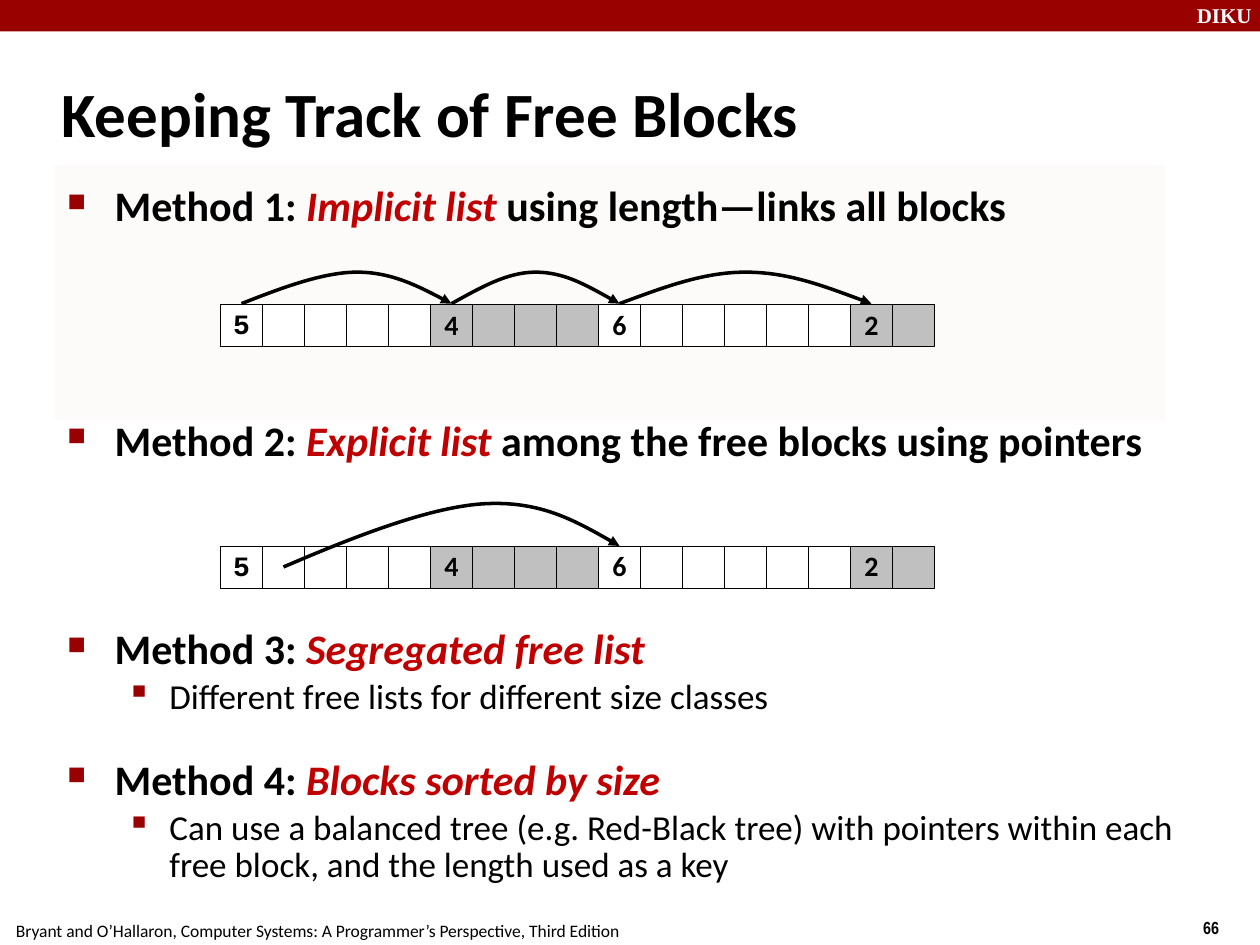
from lxml import etree
from pptx import Presentation
from pptx.dml.color import RGBColor
from pptx.enum.shapes import MSO_SHAPE
from pptx.enum.text import MSO_ANCHOR, MSO_AUTO_SIZE, PP_ALIGN
from pptx.oxml.ns import qn
from pptx.util import Pt

RECT = MSO_SHAPE.RECTANGLE
MIDDLE, TOP = MSO_ANCHOR.MIDDLE, MSO_ANCHOR.TOP
LEFT, CENTER = PP_ALIGN.LEFT, PP_ALIGN.CENTER
NO_FIT = MSO_AUTO_SIZE.NONE

C = {"bar": "990000", "accent": "C00000", "panel": "FCFBF9", "used": "C0C0C0",
     "white": "FFFFFF", "black": "000000"}

# Content
TITLE = "Keeping Track of Free Blocks"
FOOTER = "Bryant and O’Hallaron, Computer Systems: A Programmer’s Perspective, Third Edition"
# (level, space before, line spacing, [(text, is a term)])
BODY = [
    (0, 0, 1, [("Method 1: ", False), ("Implicit list ", True),
               ("using length—links all blocks", False)]),
    (0, 105.2, 1, [("Method 2: ", False), ("Explicit list ", True),
                   ("among the free blocks using pointers", False)]),
    (0, 95.2, 0.83, [("Method 3: ", False), ("Segregated free list", True)]),
    (1, 4, 0.88, [("Different free lists for different size classes", False)]),
    (0, 25.7, 0.83, [("Method 4: ", False), ("Blocks sorted by size", True)]),
    (1, 4, 0.88, [("Can use a balanced tree (e.g. Red-Black tree) with pointers within "
                   "each free block, and the length used as a key", False)]),
]
# Bullet characters are Wingdings codes for a large and a small square
LEVELS = [
    {"char": "n", "bullet": 60, "margin": 27, "indent": -27, "size": 24, "bold": True},
    {"char": "§", "bullet": 110, "margin": 58.3, "indent": -22.3, "size": 20, "bold": False},
]
# Memory blocks: (length shown in first cell, cells, fill, font, line spacing)
BLOCKS = [(5, 5, "white", "Courier New", 0.94), (4, 4, "used", "Calibri", 0.98),
          (6, 6, "white", "Calibri", 0.98), (2, 2, "used", "Calibri", 0.98)]
CELL, ROW_LEFT = 24, 126
ROW_TOPS = (174, 312)

# Arcs: (row top, from cell, to cell, x shares of the span, heights above the row),
# with the control points of two joined cubic curves
EVEN = (0, 0.17, 0.33, 0.5, 0.67, 0.83, 1)
LATE = (0, 0.19, 0.39, 0.55, 0.71, 0.86, 1)
LATER = (0, 0.21, 0.43, 0.59, 0.76, 0.88, 1)
LOW = (0.5, 9.5, 18.5, 18.5, 18.5, 9.5, 0.5)
HIGH = (-12, 5.3, 21.8, 24, 26.2, 13.2, 0)
ARCS = [(174, 0, 5, LATE, LOW), (174, 5, 9, EVEN, LOW), (174, 9, 15, EVEN, LOW),
        (312, 1, 9, LATER, HIGH)]


def rgb(name):
    return RGBColor.from_string(C[name])


def add_run(p, text, **fmt):
    r = p.add_run()
    r.text = text
    r.font.color.rgb = rgb(fmt.pop("color", "black"))
    for key, value in fmt.items():
        setattr(r.font, key, value)


def set_frame(tf, wrap=True, anchor=TOP):
    for key, value in {"word_wrap": wrap, "auto_size": NO_FIT,
                       "vertical_anchor": anchor}.items():
        setattr(tf, key, value)


def add_text(s, box, text, **fmt):
    tf = s.shapes.add_textbox(*map(Pt, box)).text_frame
    set_frame(tf, wrap=False)
    add_run(tf.paragraphs[0], text, **fmt)


def add_rect(s, box, fill, outlined=False):
    sp = s.shapes.add_shape(RECT, *map(Pt, box))
    sp.shadow.inherit = False
    sp.fill.solid()
    sp.fill.fore_color.rgb = rgb(fill)
    if outlined:
        sp.line.color.rgb = rgb("black")
        sp.line.width = Pt(0.25)
    else:
        sp.line.fill.background()
    return sp


def add_bullet(p, level):
    pPr = p._p.get_or_add_pPr()
    pPr.set("marL", str(Pt(level["margin"])))
    pPr.set("indent", str(Pt(level["indent"])))
    color = etree.SubElement(pPr, qn("a:buClr"))
    etree.SubElement(color, qn("a:srgbClr"), val=C["bar"])
    etree.SubElement(pPr, qn("a:buSzPct"), val=str(level["bullet"] * 1000))
    etree.SubElement(pPr, qn("a:buFont"), typeface="Wingdings", charset="2")
    etree.SubElement(pPr, qn("a:buChar"), char=level["char"])


def add_row(s, top):
    column = 0
    for length, count, fill, font, spacing in BLOCKS:
        for i in range(count):
            box = (ROW_LEFT + column * CELL, top, CELL, CELL)
            sp = add_rect(s, box, fill, outlined=True)
            if i == 0:
                set_frame(sp.text_frame, wrap=False, anchor=MIDDLE)
                p = sp.text_frame.paragraphs[0]
                p.alignment, p.line_spacing = CENTER, spacing
                add_run(p, str(length), name=font, size=Pt(16), bold=True)
            column += 1


def add_arc(s, top, start, end, shares, heights):
    points = [(Pt(ROW_LEFT + CELL * (start + 0.5 + (end - start) * share)), Pt(top - h))
              for share, h in zip(shares, heights)]
    builder = s.shapes.build_freeform(*points[0])
    builder.add_line_segments(points[1:], close=False)
    sp = builder.convert_to_shape()
    # Turn each three line segments into one cubic curve
    lines = list(sp._element.iter(qn("a:lnTo")))
    outline = lines[0].getparent()
    for k in range(0, len(lines), 3):
        curve = etree.SubElement(outline, qn("a:cubicBezTo"))
        for line in lines[k:k + 3]:
            curve.append(line[0])
            outline.remove(line)
    sp.shadow.inherit = False
    sp.fill.background()
    sp.line.color.rgb = rgb("black")
    sp.line.width = Pt(2)
    etree.SubElement(sp.line._get_or_add_ln(), qn("a:tailEnd"), type="triangle")


def main():
    prs = Presentation()
    prs.slide_width, prs.slide_height = Pt(720), Pt(540)
    s = prs.slides.add_slide(prs.slide_layouts[5])

    # Header bar, page number and footer
    add_rect(s, (0, 0, 720, 18), "bar")
    add_text(s, (676.8, -2, 48, 21.6), "DIKU", name="Times New Roman", size=Pt(12),
             bold=True, color="white")
    add_text(s, (680.4, 520.6, 54, 20.9), "66", name="Arial Narrow", size=Pt(10), bold=True)
    add_text(s, (2, 522, 359.3, 18.7), FOOTER, name="Calibri", size=Pt(10))

    # Panel behind method 1
    add_rect(s, (31.2, 94.3, 635, 145.5), "panel")

    # Title
    title = s.shapes.title
    title.left, title.top, title.width, title.height = map(Pt, (28, 34.2, 597.6, 59.8))
    set_frame(title.text_frame, anchor=MIDDLE)
    p = title.text_frame.paragraphs[0]
    p.alignment = LEFT
    add_run(p, TITLE, name="Calibri", size=Pt(36), bold=True)

    # Methods
    tf = s.shapes.add_textbox(*map(Pt, (31.4, 99.3, 653, 423))).text_frame
    set_frame(tf)
    for i, (depth, before, spacing, runs) in enumerate(BODY):
        p = tf.paragraphs[0] if i == 0 else tf.add_paragraph()
        level = LEVELS[depth]
        add_bullet(p, level)
        p.level, p.line_spacing = depth, spacing
        if before:
            p.space_before = Pt(before)
        for text, is_term in runs:
            add_run(p, text, name="Calibri", size=Pt(level["size"]), bold=level["bold"],
                    italic=is_term, color="accent" if is_term else "black")

    # Memory rows and the links between blocks
    for top in ROW_TOPS:
        add_row(s, top)
    for arc in ARCS:
        add_arc(s, *arc)

    prs.save("out.pptx")


if __name__ == "__main__":
    main()
